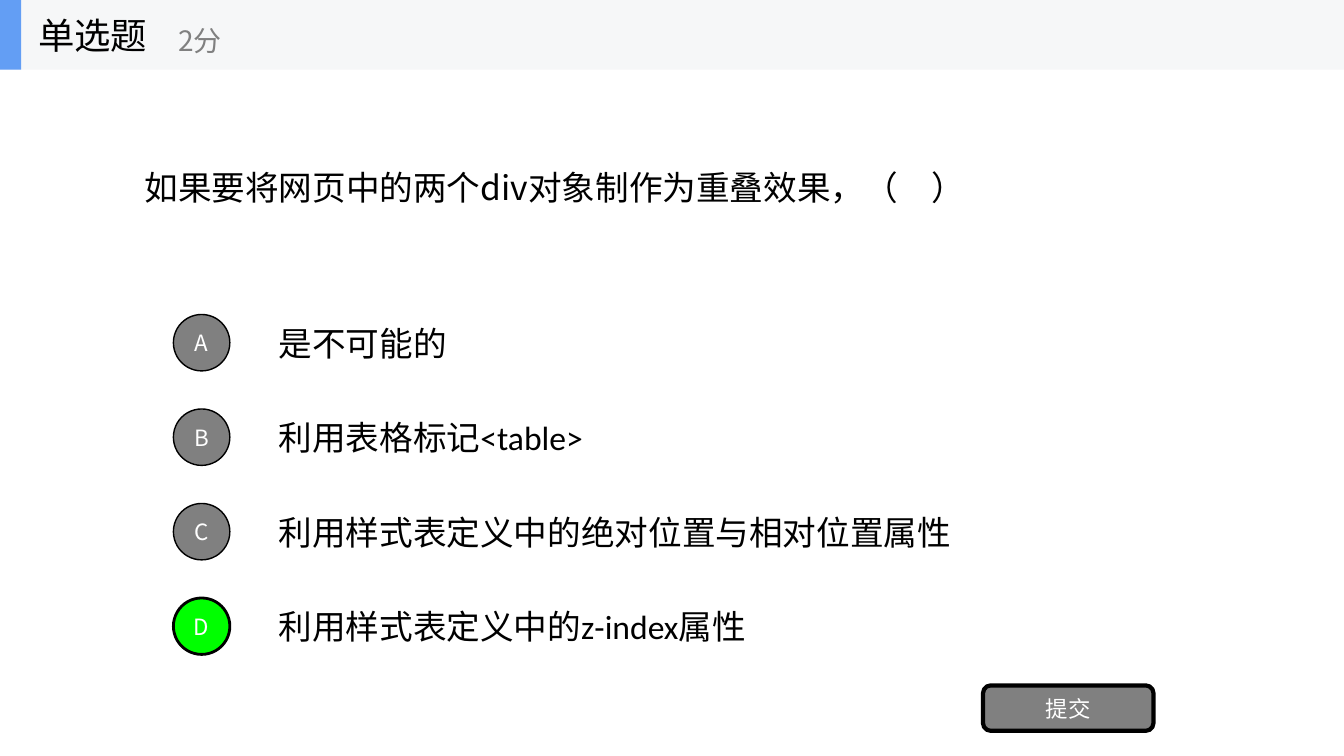
from pptx import Presentation
from pptx.dml.color import RGBColor
from pptx.enum.shapes import MSO_SHAPE as Kind
from pptx.enum.text import MSO_ANCHOR as Anchor, MSO_AUTO_SIZE as Fit, PP_ALIGN as Align
from pptx.oxml.ns import qn
from pptx.util import Inches, Pt
from lxml import etree

BLACK = RGBColor(0, 0, 0)
WHITE = RGBColor(255, 255, 255)
GRAY = RGBColor(128, 128, 128)
GREEN = RGBColor(0, 255, 0)
PALE = RGBColor(0xF6, 0xF7, 0xF8)
BLUE = RGBColor(0x63, 0x9E, 0xF4)
NOTO = "Noto Sans CJK SC"
LATIN = "Calibri"


def write(shape, text, size, color, face=NOTO, align=Align.LEFT):
    """Fill a shape with one vertically centred line of text."""
    frame = shape.text_frame
    frame.text = text
    frame.word_wrap = True
    frame.auto_size = Fit.NONE
    frame.vertical_anchor = Anchor.MIDDLE
    para = frame.paragraphs[0]
    para.alignment = align
    for run in para.runs:
        font = run.font
        font.size, font.name = Pt(size), face
        font.color.rgb = color
        asian = etree.SubElement(run._r.rPr, qn("a:ea"))
        asian.set("typeface", NOTO)


def draw(kind, box, fill, line=0):
    """Add a flat shape; a line width of 0 means no outline."""
    shape = shapes.add_shape(kind, *map(Inches, box))
    shape.shadow.inherit = False
    shape.fill.solid()
    shape.fill.fore_color.rgb = fill
    if line:
        shape.line.color.rgb = BLACK
        shape.line.width = Pt(line)
    else:
        shape.line.fill.background()
    return shape


deck = Presentation()
WIDE, HIGH = 13.33, 7.5
deck.slide_width, deck.slide_height = Inches(WIDE), Inches(HIGH)
slide = deck.slides.add_slide(deck.slide_layouts[5])
shapes = slide.shapes

# Question
BAR = 0.69
LEFT = WIDE / 10
title = shapes.title
title.left, title.top = Inches(LEFT), Inches(BAR)
title.width, title.height = Inches(WIDE * 0.8), Inches(2.34)
write(title, "如果要将网页中的两个div对象制作为重叠效果，（　）", 24, BLACK)

# Answers: one row each, the right one in green
TOP, STEP, ROW, DOT = 3.05, HIGH / 8, 0.7, 0.56
answers = [
    ("A", "是不可能的", GRAY, 1),
    ("B", "利用表格标记<table>", GRAY, 1),
    ("C", "利用样式表定义中的绝对位置与相对位置属性", GRAY, 1),
    ("D", "利用样式表定义中的z-index属性", GREEN, 2),
]
for i, (mark, text, fill, line) in enumerate(answers):
    top = TOP + i * STEP
    label = shapes.add_textbox(*map(Inches, (2 * LEFT, top, 7 * LEFT, ROW)))
    write(label, text, 24, BLACK, LATIN)
    dot = draw(Kind.OVAL, (1.72, top + (ROW - DOT) / 2, DOT, DOT), fill, line)
    dot.text_frame.margin_left = dot.text_frame.margin_right = 0
    write(dot, mark, 16, WHITE, align=Align.CENTER)

# Submit button
button = draw(Kind.ROUNDED_RECTANGLE, (9.75, 6.8, 1.69, 0.45), GRAY, 3)
write(button, "提交", 16, WHITE, align=Align.CENTER)

# Header bar
draw(Kind.RECTANGLE, (0, 0, WIDE, BAR), PALE)
draw(Kind.RECTANGLE, (0, 0, 0.21, BAR), BLUE)
heads = [
    ("单选题", (0.28, 0, 2.08, BAR), 26, BLACK),
    ("2分", (1.67, 0.12, 2.5, 0.56), 20, GRAY),
]
for text, box, size, color in heads:
    write(shapes.add_textbox(*map(Inches, box)), text, size, color)

deck.save("out.pptx")
